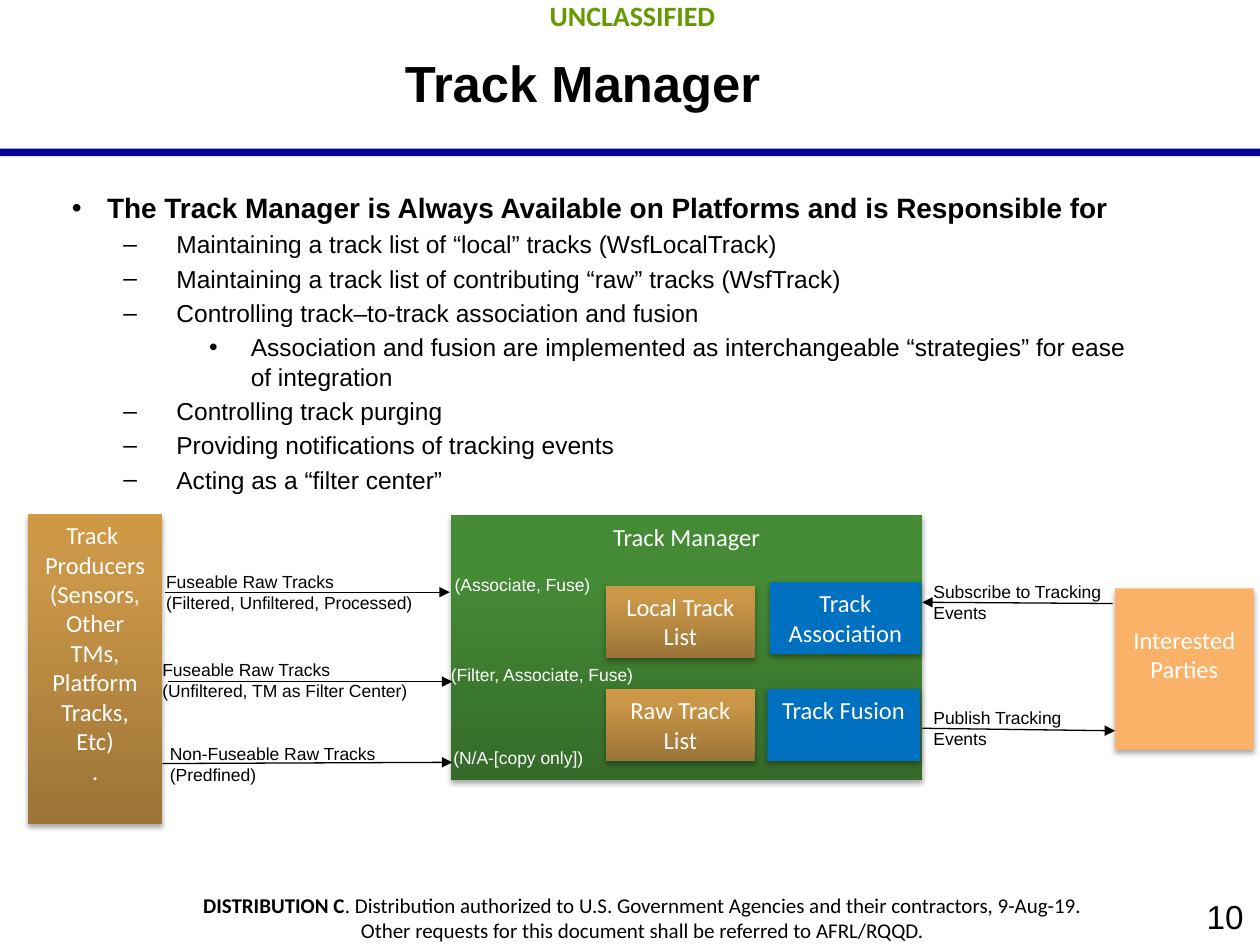
from lxml.etree import SubElement
from pptx import Presentation
from pptx.dml.color import RGBColor
from pptx.enum.shapes import MSO_CONNECTOR, MSO_SHAPE
from pptx.enum.text import MSO_ANCHOR, MSO_AUTO_SIZE, PP_ALIGN
from pptx.oxml import parse_xml
from pptx.oxml.ns import nsdecls, qn
from pptx.util import Inches, Pt

COLORS = {
    "black": "000000",
    "white": "FFFFFF",
    "rule": "000099",
    "marking": "669900",
    "blue": "0070C0",
    "orange": "F9B268",
}
GRADIENTS = {
    "green": ("356B2A", "458B36", "458D35"),
    "bronze": ("9C7437", "CA9647", "CE9845"),
}
STOPS = (0, 80, 100)
INDENTS = ((0.53, -0.28), (1.08, -0.42), (1.67, -0.33))
BULLETS = (
    (0, "The Track Manager is Always Available on Platforms and is Responsible for"),
    (1, "Maintaining a track list of “local” tracks (WsfLocalTrack)"),
    (1, "Maintaining a track list of contributing “raw” tracks (WsfTrack)"),
    (1, "Controlling track–to-track association and fusion"),
    (2, "Association and fusion are implemented as interchangeable “strategies” for ease of integration"),
    (1, "Controlling track purging"),
    (1, "Providing notifications of tracking events"),
    (1, "Acting as a “filter center”"),
)
PRODUCERS = ("Track ", "Producers", "(Sensors,", "Other TMs,", "Platform", "Tracks,", "Etc)", ".")
BLOCKS = (
    ((0.22, 4.08, 1.07, 2.46), "bronze", PRODUCERS, 0.05),
    ((4.81, 4.65, 1.18, 0.57), "bronze", ("Local Track List",), 0.05),
    ((4.81, 5.47, 1.18, 0.57), "bronze", ("Raw Track List",), 0.05),
    ((8.85, 4.67, 1.1, 1.28), "orange", ("Interested", "Parties"), 0.29),
    ((6.09, 5.47, 1.21, 0.57), "blue", ("Track Fusion",), 0.05),
    ((6.11, 4.62, 1.2, 0.57), "blue", ("Track Association",), 0.05),
)
ARROWS = (
    (1.31, 4.7, 3.57, 4.7),
    (1.29, 6.06, 3.59, 6.05),
    (1.33, 5.41, 3.59, 5.41),
    (7.32, 5.78, 8.85, 5.8),
    (8.83, 4.79, 7.32, 4.78),
)
LABELS = (
    ((1.22, 4.48, 2.17, 0.44), "black", ("Fuseable Raw Tracks", "(Filtered, Unfiltered, Processed)"), False),
    ((3.51, 4.51, 1.29, 0.27), "white", ("(Associate, Fuse)",), False),
    ((3.48, 5.22, 1.68, 0.27), "white", ("(Filter, Associate, Fuse)",), False),
    ((1.19, 5.18, 2.17, 0.44), "black", ("Fuseable Raw Tracks", "(Unfiltered, TM as Filter Center)"), False),
    ((1.25, 5.85, 1.86, 0.44), "black", ("Non-Fuseable Raw Tracks", "(Predfined)"), False),
    ((3.5, 5.88, 1.24, 0.27), "white", ("(N/A-[copy only])",), False),
    ((7.31, 5.56, 1.52, 0.44), "black", ("Publish Tracking Events",), True),
    ((7.31, 4.56, 1.54, 0.44), "black", ("Subscribe to Tracking", "Events"), True),
)


def rgb(name):
    return RGBColor.from_string(COLORS[name])


def place(shape, bounds):
    shape.left, shape.top, shape.width, shape.height = map(Inches, bounds)


def set_margins(frame, side, top, bottom):
    frame.margin_left = frame.margin_right = Inches(side)
    frame.margin_top, frame.margin_bottom = Inches(top), Inches(bottom)


def add_span(para, text, size, color, font="Arial", bold=False):
    span = para.add_run()
    span.text = text
    span.font.name = font
    span.font.size = Pt(size)
    span.font.bold = bold
    span.font.color.rgb = rgb(color)


def paragraphs(frame, items):
    for index, item in enumerate(items):
        yield (frame.add_paragraph() if index else frame.paragraphs[0]), item


def fill_gradient(shape, name):
    stops = "".join(
        f'<a:gs pos="{stop * 1000}"><a:srgbClr val="{color}"/></a:gs>'
        for stop, color in zip(STOPS, GRADIENTS[name])
    )
    gradient = parse_xml(
        f'<a:gradFill {nsdecls("a")} rotWithShape="1"><a:gsLst>{stops}</a:gsLst>'
        '<a:lin ang="16200000" scaled="0"/></a:gradFill>'
    )
    shape._element.spPr.find(qn("a:prstGeom")).addnext(gradient)


def add_shadow(shape):
    effects = shape._element.spPr.find(qn("a:effectLst"))
    effects.append(parse_xml(
        f'<a:outerShdw {nsdecls("a")} blurRad="40000" dist="23000" dir="5400000" rotWithShape="0">'
        '<a:srgbClr val="000000"><a:alpha val="35000"/></a:srgbClr></a:outerShdw>'
    ))


def add_rectangle(page, bounds, color):
    box = page.shapes.add_shape(MSO_SHAPE.RECTANGLE, *map(Inches, bounds))
    box.line.fill.background()
    box.shadow.inherit = False
    if color in GRADIENTS:
        fill_gradient(box, color)
    else:
        box.fill.solid()
        box.fill.fore_color.rgb = rgb(color)
    return box


def add_block(page, bounds, color, lines, top_margin=0.05):
    box = add_rectangle(page, bounds, color)
    add_shadow(box)
    frame = box.text_frame
    frame.word_wrap = True
    frame.vertical_anchor = MSO_ANCHOR.TOP
    set_margins(frame, 0.1, top_margin, 0.05)
    for para, line in paragraphs(frame, lines):
        para.alignment = PP_ALIGN.CENTER
        add_span(para, line, 14, "white", "Calibri")


def add_label(page, bounds, color, lines, wrap):
    frame = page.shapes.add_textbox(*map(Inches, bounds)).text_frame
    frame.word_wrap = wrap
    for para, line in paragraphs(frame, lines):
        add_span(para, line, 10, color)


def add_arrow(page, ends):
    arrow = page.shapes.add_connector(MSO_CONNECTOR.STRAIGHT, *map(Inches, ends))
    arrow.line.color.rgb = rgb("black")
    arrow.line.width = Pt(0.75)
    SubElement(arrow.line._get_or_add_ln(), qn("a:tailEnd"), type="triangle")
    SubElement(arrow._element.spPr, qn("a:effectLst"))


def add_marking(page, bounds, lines, size, color, font, alignment):
    frame = page.shapes.add_textbox(*map(Inches, bounds)).text_frame
    frame.word_wrap = True
    set_margins(frame, 0.13, 0.07, 0.07)
    for para, spans in paragraphs(frame, lines):
        para.alignment = alignment
        for text, bold in spans:
            add_span(para, text, size, color, font, bold)
    return frame


def fill_title(page):
    title = page.shapes.title
    place(title, (1, 0.03, 7.25, 1.25))
    frame = title.text_frame
    frame.auto_size = MSO_AUTO_SIZE.NONE
    frame.vertical_anchor = MSO_ANCHOR.MIDDLE
    set_margins(frame, 0.13, 0.07, 0.07)
    frame.paragraphs[0].alignment = PP_ALIGN.CENTER
    add_span(frame.paragraphs[0], "Track Manager", 29, "black", bold=True)


def fill_body(page):
    body = page.placeholders[1]
    place(body, (0.19, 1.39, 9, 4.95))
    frame = body.text_frame
    frame.auto_size = MSO_AUTO_SIZE.NONE
    set_margins(frame, 0.13, 0.07, 0.07)
    for para, (level, text) in paragraphs(frame, BULLETS):
        para.level = level
        margin, indent = INDENTS[level]
        properties = para._p.get_or_add_pPr()
        properties.set("marL", str(Inches(margin)))
        properties.set("indent", str(Inches(indent)))
        SubElement(properties, qn("a:buChar"), char="–" if level == 1 else "•")
        if level == 0:
            para.line_spacing = 1.2
        add_span(para, text, 14 if level else 16, "black", bold=level == 0)


def main():
    deck = Presentation()
    deck.slide_width, deck.slide_height = Inches(10), Inches(7.5)
    page = deck.slides.add_slide(deck.slide_layouts[1])
    add_rectangle(page, (0, 1.18, 10, 0.06), "rule")
    number = add_marking(page, (8, 7.05, 2, 0.45), [[("10", False)]], 19, "black", "Arial", PP_ALIGN.RIGHT)
    number.vertical_anchor = MSO_ANCHOR.MIDDLE
    add_marking(page, (0.02, -0.08, 10, 0.4), [[("UNCLASSIFIED", True)]], 16, "marking", "Calibri", PP_ALIGN.CENTER)
    distribution = [
        [("DISTRIBUTION C", True),
         (". Distribution authorized to U.S. Government Agencies and their contractors, 9-Aug-19.", False)],
        [("Other requests for this document shall be referred to AFRL/RQQD.", False)],
    ]
    add_marking(page, (0.09, 7.01, 10.02, 0.54), distribution, 12, "black", "Calibri", PP_ALIGN.CENTER)
    fill_title(page)
    fill_body(page)
    add_block(page, (3.58, 4.09, 3.74, 2.1), "green", ("Track Manager",))
    for ends in ARROWS:
        add_arrow(page, ends)
    for label in LABELS:
        add_label(page, *label)
    for block in BLOCKS:
        add_block(page, *block)
    deck.save("out.pptx")


if __name__ == "__main__":
    main()
